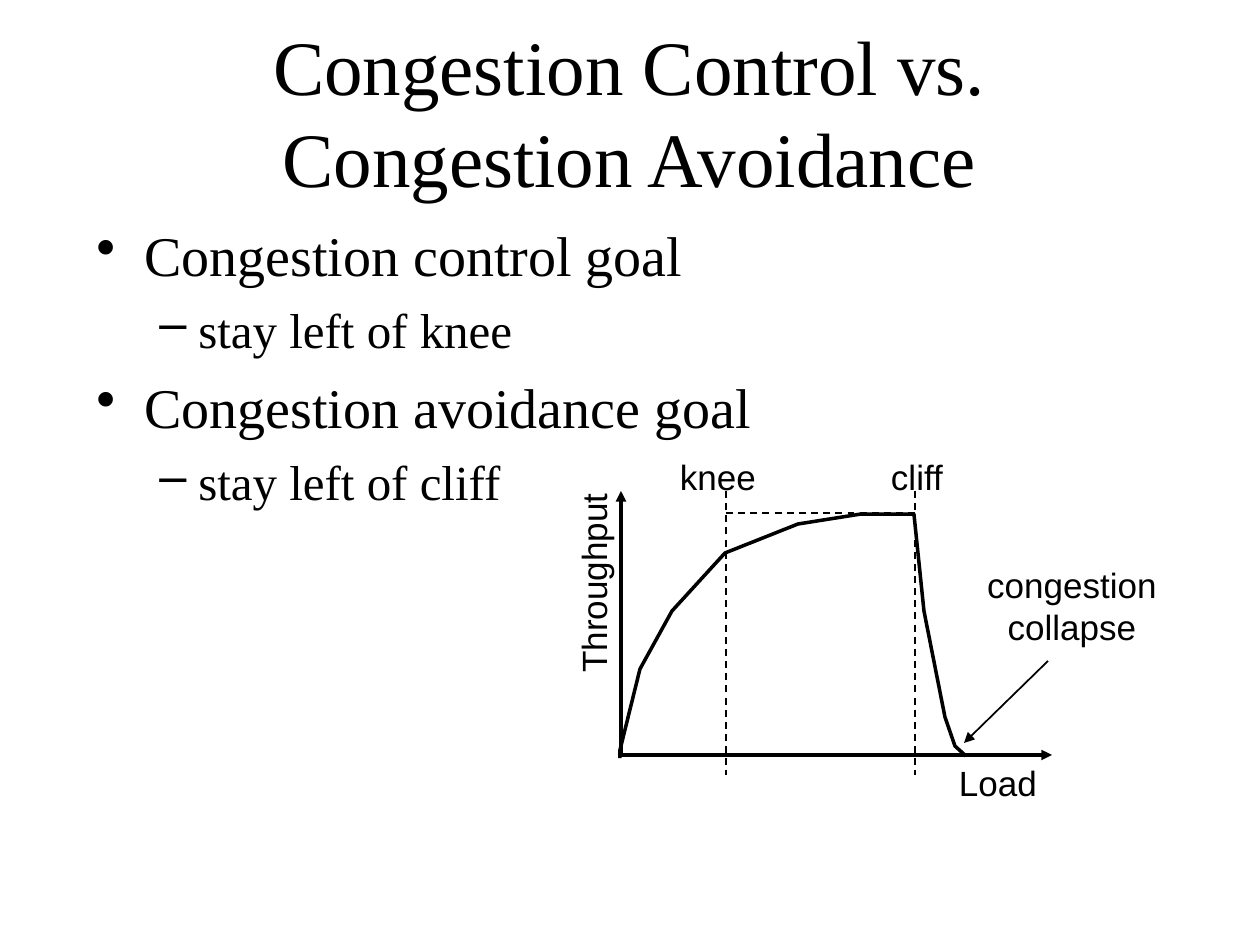
from lxml import etree
from pptx import Presentation
from pptx.dml.color import RGBColor
from pptx.enum.dml import MSO_LINE
from pptx.enum.shapes import MSO_CONNECTOR
from pptx.enum.text import MSO_ANCHOR, MSO_AUTO_SIZE, PP_ALIGN
from pptx.oxml.ns import qn
from pptx.util import Pt

PX = 914400 / 126
COLORS = {"ink": "000000", "paper": "FFFFFF"}
SERIF, SANS = "Times New Roman", "Arial"

TITLE = "Congestion Control vs. Congestion Avoidance"
TITLE_BOX = (94, 32, 1071, 157)
GOALS_BOX = (84, 214, 987, 588)
GOALS = [
    (0, "Congestion control goal"),
    (1, "stay left of knee"),
    (0, "Congestion avoidance goal"),
    (1, "stay left of cliff"),
]
# level: bullet, text size, space before, left margin px, hanging px
LEVELS = {0: ("•", 32, 8, 48, 48), 1: ("–", 28, 7, 102, 39)}

ORIGIN, AXIS_TOP, AXIS_END = (621, 755), 491, 1052
KNEE, CLIFF, GUIDE_BOTTOM, PEAK = 726, 915, 775, 513
# start, end, width pt, dashed, arrow
AXES = [
    (ORIGIN, (ORIGIN[0], AXIS_TOP), 2, False, True),
    (ORIGIN, (AXIS_END, ORIGIN[1]), 2, False, True),
]
GUIDES = [
    ((CLIFF, AXIS_TOP), (CLIFF, GUIDE_BOTTOM), 1, True, False),
    ((KNEE, AXIS_TOP), (KNEE, GUIDE_BOTTOM), 1, True, False),
    ((KNEE, PEAK), (CLIFF, PEAK), 1, True, False),
]
COLLAPSE_POINTER = ((1048, 661), (964, 743), 1, False, True)
THROUGHPUT_CURVE = [
    (620, 758), (620, 750), (640, 669), (672, 611), (725, 553), (798, 524),
    (861, 514), (914, 514), (924, 611), (945, 717), (955, 746), (966, 756),
]
# lines of text, box, rotation
LABELS = [
    (["Load"], (937, 755, 122, 54), 0),
    (["Throughput"], (473, 556, 240, 54), 270),
    (["knee"], (658, 449, 120, 54), 0),
    (["cliff"], (867, 449, 100, 54), 0),
    (["congestion", "collapse"], (957, 557, 230, 96), 0),
]


def emu(*lengths):
    return [round(length * PX) for length in lengths]


def ink():
    return RGBColor.from_string(COLORS["ink"])


def write(paragraph, text, size, font_name, align):
    paragraph.alignment = align
    run = paragraph.add_run()
    run.text = text
    run.font.size, run.font.name = Pt(size), font_name
    run.font.color.rgb = ink()


def paragraphs(frame, count):
    return [frame.paragraphs[0]] + [frame.add_paragraph() for _ in range(count - 1)]


def add_title(slide):
    title = slide.shapes.title
    title.left, title.top, title.width, title.height = emu(*TITLE_BOX)
    frame = title.text_frame
    frame.auto_size, frame.word_wrap = MSO_AUTO_SIZE.NONE, True
    frame.vertical_anchor = MSO_ANCHOR.MIDDLE
    write(frame.paragraphs[0], TITLE, 44, SERIF, PP_ALIGN.CENTER)


def add_goals(slide):
    frame = slide.shapes.add_textbox(*emu(*GOALS_BOX)).text_frame
    frame.word_wrap = True
    for index, (paragraph, (level, text)) in enumerate(
            zip(paragraphs(frame, len(GOALS)), GOALS)):
        bullet, size, before, margin, hanging = LEVELS[level]
        paragraph.level = level
        properties = paragraph._p.get_or_add_pPr()
        properties.set("marL", str(emu(margin)[0]))
        properties.set("indent", str(-emu(hanging)[0]))
        etree.SubElement(properties, qn("a:buChar"), char=bullet)
        if index:
            paragraph.space_before = Pt(before)
        write(paragraph, text, size, SERIF, PP_ALIGN.LEFT)


def add_line(slide, start, end, width, dashed, arrow):
    connector = slide.shapes.add_connector(
        MSO_CONNECTOR.STRAIGHT, *emu(*start, *end))
    connector.line.color.rgb = ink()
    connector.line.width = Pt(width)
    if dashed:
        connector.line.dash_style = MSO_LINE.DASH
    if arrow:
        etree.SubElement(connector.line._get_or_add_ln(), qn("a:tailEnd"),
                         type="triangle")
    etree.SubElement(connector._element.spPr, qn("a:effectLst"))


def add_curve(slide):
    builder = slide.shapes.build_freeform(*THROUGHPUT_CURVE[0], scale=PX)
    builder.add_line_segments(THROUGHPUT_CURVE[1:], close=False)
    curve = builder.convert_to_shape()
    curve.shadow.inherit = False
    curve.fill.background()
    curve.line.color.rgb = ink()
    curve.line.width = Pt(2)


def add_label(slide, texts, box, rotation):
    label = slide.shapes.add_textbox(*emu(*box))
    label.rotation = rotation
    frame = label.text_frame
    frame.word_wrap = False
    frame.auto_size = MSO_AUTO_SIZE.NONE
    for paragraph, text in zip(paragraphs(frame, len(texts)), texts):
        write(paragraph, text, 20, SANS, PP_ALIGN.CENTER)


def main():
    deck = Presentation()
    deck.slide_width, deck.slide_height = emu(1260, 945)
    slide = deck.slides.add_slide(deck.slide_layouts[5])
    slide.background.fill.solid()
    slide.background.fill.fore_color.rgb = RGBColor.from_string(COLORS["paper"])
    add_title(slide)
    add_goals(slide)
    for axis in AXES:
        add_line(slide, *axis)
    add_curve(slide)
    for guide in GUIDES:
        add_line(slide, *guide)
    for label in LABELS:
        add_label(slide, *label)
    add_line(slide, *COLLAPSE_POINTER)
    deck.save("out.pptx")


if __name__ == "__main__":
    main()
